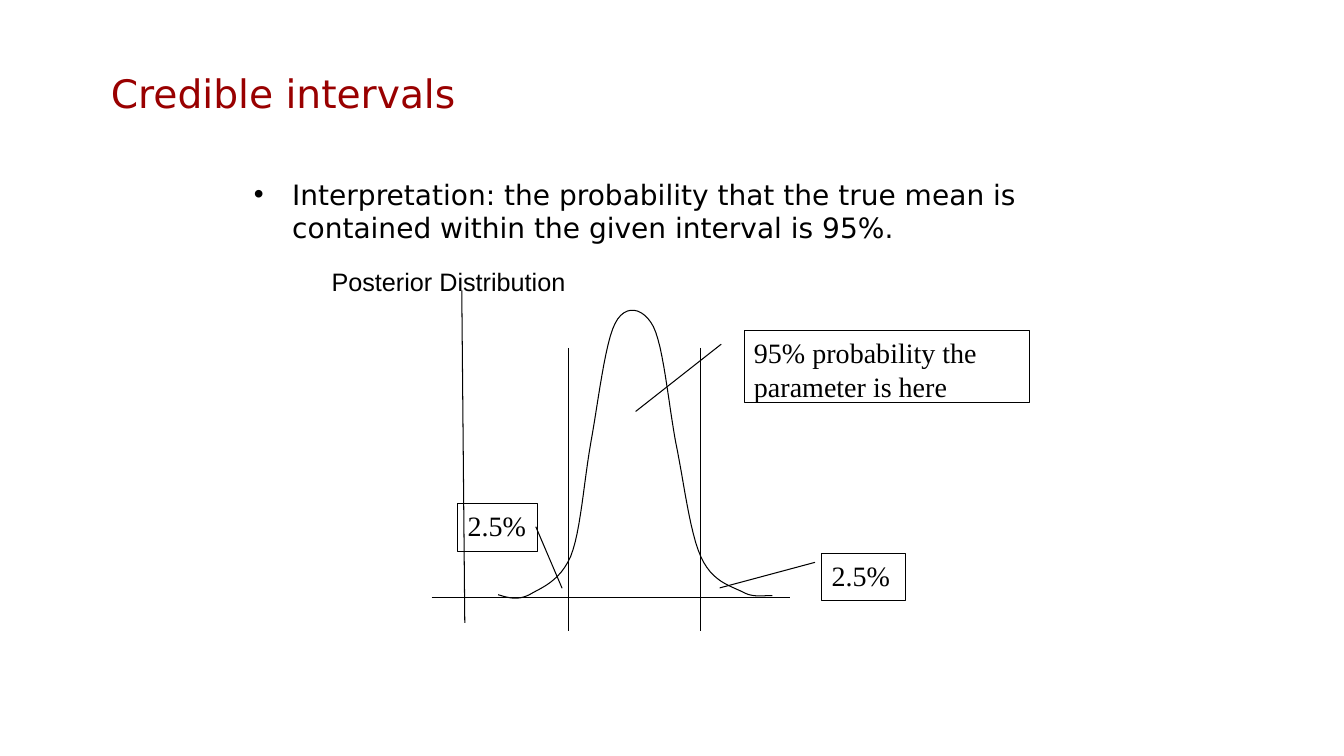
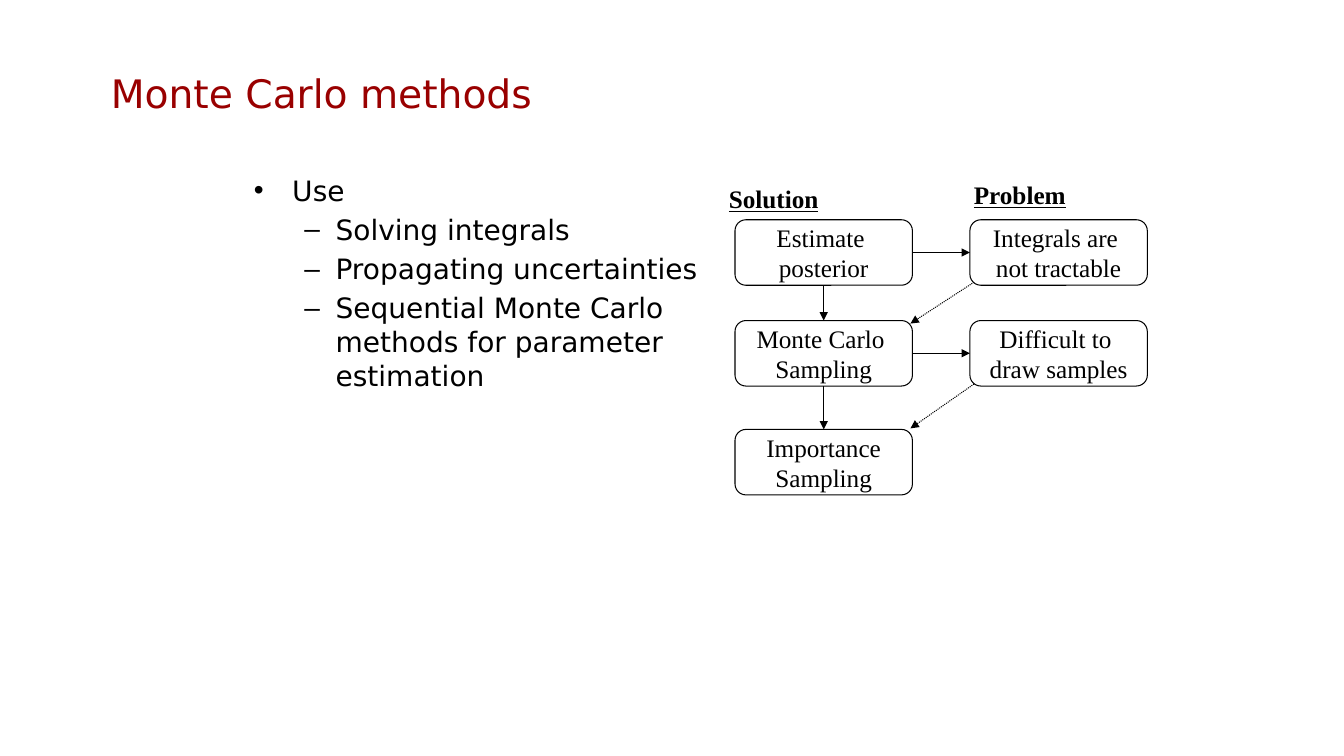
"""Build two lecture slides on credible intervals and Monte Carlo methods."""
from pptx import Presentation
from pptx.dml.color import RGBColor
from pptx.enum.dml import MSO_LINE
from pptx.enum.shapes import MSO_CONNECTOR, MSO_SHAPE
from pptx.enum.text import MSO_ANCHOR, MSO_AUTO_SIZE, PP_ALIGN
from pptx.oxml.ns import qn
from pptx.util import Inches, Pt
from lxml.etree import SubElement

BLACK = "000000"
TITLE = {"name": "DejaVu Sans", "size": Pt(28), "bold": False}
BODY = {"name": "DejaVu Sans", "size": Pt(20)}
LABEL = {"name": "Arial", "size": Pt(18)}
CALLOUT = {"name": "Times New Roman", "size": Pt(20)}
STEP = {"name": "Times New Roman", "size": Pt(18)}
HEADING = {**STEP, "bold": True, "underline": True}

BULLETS = [("•", 0.38, 0.38), ("–", 0.81, 0.31)]
INTERPRETATION = [(0, "Interpretation: the probability that the true mean is "
                      "contained within the given interval is 95%.")]
USES = [
    (0, "Use"),
    (1, "Solving integrals"),
    (1, "Propagating uncertainties"),
    (1, "Sequential Monte Carlo methods for parameter estimation"),
]

PLOT_LINES = [
    ((4.58, 2.88), (4.61, 6.18)),
    ((4.28, 5.93), (7.84, 5.93)),
    ((5.64, 3.45), (5.64, 6.26)),
    ((6.95, 3.45), (6.95, 6.26)),
]
DENSITY_START = (4.94, 5.9)
DENSITY_CURVES = [
    ((5.04, 5.93), (5.13, 5.96), (5.25, 5.9)),
    ((5.37, 5.83), (5.55, 5.77), (5.66, 5.52)),
    ((5.76, 5.27), (5.79, 4.78), (5.86, 4.39)),
    ((5.93, 4.01), (6, 3.4), (6.1, 3.21)),
    ((6.2, 3.01), (6.38, 3.05), (6.48, 3.24)),
    ((6.58, 3.44), (6.63, 4), (6.7, 4.38)),
    ((6.78, 4.76), (6.84, 5.28), (6.95, 5.52)),
    ((7.06, 5.77), (7.24, 5.81), (7.36, 5.87)),
    ((7.48, 5.94), (7.6, 5.9), (7.66, 5.91)),
]
CURVE_STEPS = 12
CALLOUTS = [
    ("95% probability the parameter is here", (7.38, 3.28, 2.83, 0.71), (0.19, -0.08, 1.13, -0.38)),
    ("2.5%", (4.54, 5, 0.79, 0.47), (0.48, 0.98, 1.78, 1.31)),
    ("2.5%", (8.15, 5.49, 0.83, 0.47), (0.19, -0.08, 0.73, -1.22)),
]

HEADINGS = [("Solution", (7.13, 1.77, 1.09, 0.4)), ("Problem", (9.56, 1.73, 1.12, 0.4))]
COLUMNS = {"solution": 7.29, "problem": 9.62}
ROWS = [2.18, 3.18, 4.26]
STEP_SIZE = (1.76, 0.65)
STEPS = {
    ("solution", 0): ["Estimate ", "posterior"],
    ("problem", 0): ["Integrals are ", "not tractable"],
    ("solution", 1): ["Monte Carlo ", "Sampling"],
    ("problem", 1): ["Difficult to ", "draw samples"],
    ("solution", 2): ["Importance", "Sampling"],
}
TOP, LEFT, BOTTOM, RIGHT = range(4)
RETURN_ARROWS = [((9.66, 2.8), (9.03, 3.21)), ((9.66, 3.81), (9.03, 4.25))]


def color(value):
    """Turn a hex string into a colour."""
    return RGBColor.from_string(value)


def write(frame, lines, style, font_color=BLACK, align=PP_ALIGN.LEFT):
    """Fill a text frame with one formatted paragraph per line."""
    for index, line in enumerate(lines):
        para = frame.paragraphs[0] if index == 0 else frame.add_paragraph()
        para.alignment = align
        span = para.add_run()
        span.text = line
        for name, value in style.items():
            setattr(span.font, name, value)
        span.font.color.rgb = color(font_color)


def outline(shape):
    """Give a shape or connector the thin black line."""
    shape.line.color.rgb = color(BLACK)
    shape.line.width = Pt(0.75)


def add_page(deck, title):
    """Add a slide with the shared title style."""
    page = deck.slides.add_slide(deck.slide_layouts[5])
    box = page.shapes.title
    box.left, box.top, box.width, box.height = map(Inches, (1, 0.42, 9.56, 1))
    frame = box.text_frame
    frame.auto_size = MSO_AUTO_SIZE.NONE
    frame.vertical_anchor = MSO_ANCHOR.MIDDLE
    write(frame, [title], TITLE, "990000")
    return page


def add_text(page, area, lines, style, wrap=False):
    """Add a text box and return its frame."""
    frame = page.shapes.add_textbox(*map(Inches, area)).text_frame
    frame.word_wrap = wrap
    write(frame, lines, style)
    return frame


def add_bullets(page, area, items):
    """Add a bulleted list with levels."""
    frame = add_text(page, area, [text for _, text in items], BODY, wrap=True)
    for para, (level, _) in zip(frame.paragraphs, items):
        mark, margin, hanging = BULLETS[level]
        para.level = level
        para.space_before = Pt(4)
        properties = para._p.get_or_add_pPr()
        properties.set("marL", str(Inches(margin)))
        properties.set("indent", str(-Inches(hanging)))
        SubElement(properties, qn("a:buFont"), typeface="Arial")
        SubElement(properties, qn("a:buChar"), char=mark)


def add_outlined(page, kind, area):
    """Add an unfilled preset shape."""
    shape = page.shapes.add_shape(kind, *map(Inches, area))
    shape.shadow.inherit = False
    shape.fill.background()
    outline(shape)
    return shape


def add_line(page, start=(0, 0), end=(0, 0), joins=None, arrow=False, dotted=False):
    """Add a straight line between points or between joined shapes."""
    line = page.shapes.add_connector(MSO_CONNECTOR.STRAIGHT, *map(Inches, (*start, *end)))
    if joins:
        source, source_side, target, target_side = joins
        line.begin_connect(source, source_side)
        line.end_connect(target, target_side)
    outline(line)
    if dotted:
        line.line.dash_style = MSO_LINE.ROUND_DOT
    if arrow:
        SubElement(line.line._get_or_add_ln(), qn("a:tailEnd"), type="triangle")
    SubElement(line._element.spPr, qn("a:effectLst"))


def curve_points(start, curves):
    """Return points along a chain of cubic curves."""
    points = []
    for first, second, end in curves:
        for step in range(1, CURVE_STEPS + 1):
            t = step / CURVE_STEPS
            weights = ((1 - t) ** 3, 3 * t * (1 - t) ** 2, 3 * t ** 2 * (1 - t), t ** 3)
            points.append(tuple(
                Inches(sum(weight * value for weight, value in zip(weights, values)))
                for values in zip(start, first, second, end)))
        start = end
    return points


def build_intervals(deck):
    """Build the slide with the posterior distribution."""
    page = add_page(deck, "Credible intervals")
    add_bullets(page, (2.42, 1.71, 8.5, 0.9), INTERPRETATION)
    for start, end in PLOT_LINES:
        add_line(page, start, end)
    builder = page.shapes.build_freeform(*map(Inches, DENSITY_START))
    builder.add_line_segments(curve_points(DENSITY_START, DENSITY_CURVES), close=False)
    density = builder.convert_to_shape()
    density.shadow.inherit = False
    density.fill.background()
    outline(density)
    for text, area, pointer in CALLOUTS:
        callout = add_outlined(page, MSO_SHAPE.LINE_CALLOUT_1, area)
        for index, value in enumerate(pointer):
            callout.adjustments[index] = value
        callout.text_frame.word_wrap = True
        callout.text_frame.vertical_anchor = MSO_ANCHOR.TOP
        write(callout.text_frame, [text], CALLOUT)
    add_text(page, (3.19, 2.59, 2.61, 0.4), ["Posterior Distribution"], LABEL)


def build_methods(deck):
    """Build the slide with the problem and solution flow."""
    page = add_page(deck, "Monte Carlo methods")
    add_bullets(page, (2.42, 1.67, 4.72, 4.25), USES)
    for text, area in HEADINGS:
        add_text(page, area, [text], HEADING)
    boxes = {}
    for (column, row), lines in STEPS.items():
        area = (COLUMNS[column], ROWS[row], *STEP_SIZE)
        box = boxes[column, row] = add_outlined(page, MSO_SHAPE.ROUNDED_RECTANGLE, area)
        box.text_frame.word_wrap = False
        box.text_frame.vertical_anchor = MSO_ANCHOR.MIDDLE
        write(box.text_frame, lines, STEP, align=PP_ALIGN.CENTER)
    for row in range(len(ROWS) - 1):
        box = boxes["solution", row]
        add_line(page, joins=(box, RIGHT, boxes["problem", row], LEFT), arrow=True)
        add_line(page, joins=(box, BOTTOM, boxes["solution", row + 1], TOP), arrow=True)
    for start, end in RETURN_ARROWS:
        add_line(page, start, end, arrow=True, dotted=True)


def main():
    """Build and save the deck."""
    deck = Presentation()
    deck.slide_width, deck.slide_height = Inches(13.33), Inches(7.5)
    build_intervals(deck)
    build_methods(deck)
    deck.save("out.pptx")


if __name__ == "__main__":
    main()
